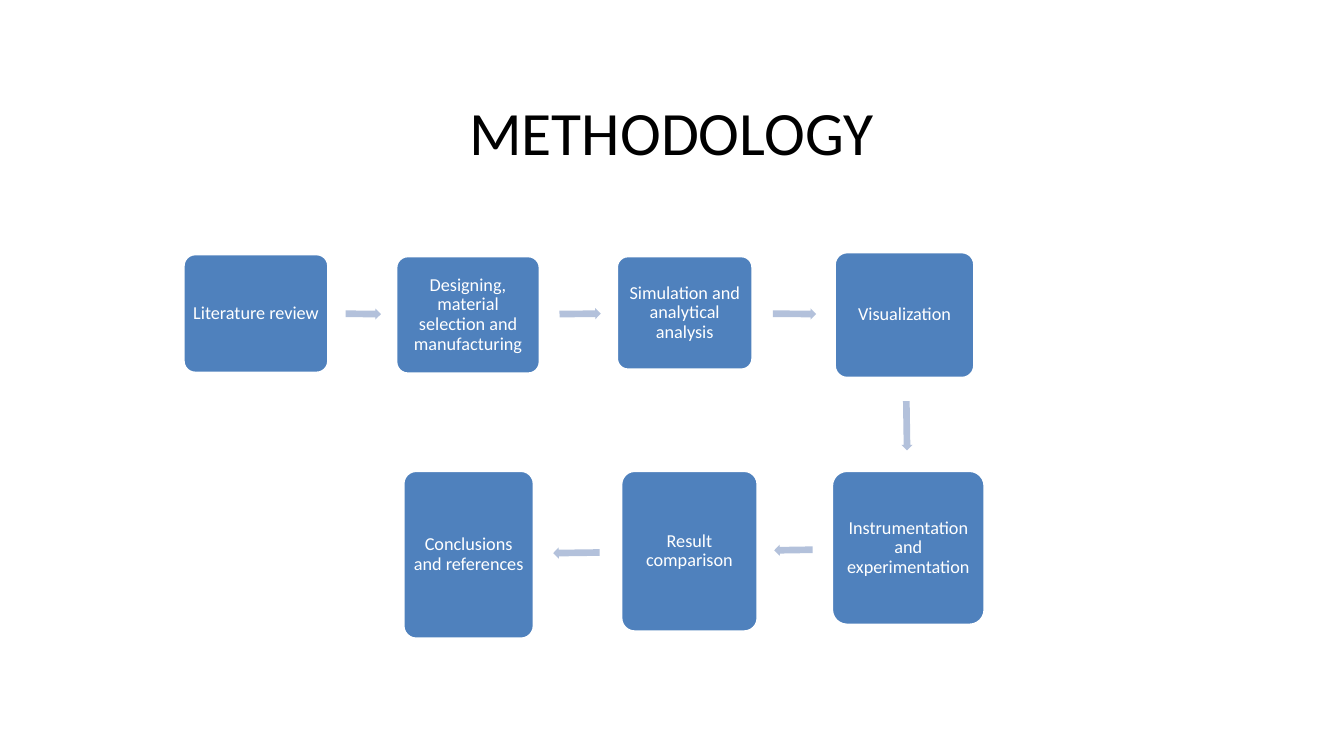
"""Build the methodology slide: seven steps joined by block arrows."""
import pptx
import pptx.util
import pptx.dml.color
import pptx.enum.shapes
import pptx.enum.text

Cm = pptx.util.Cm
Pt = pptx.util.Pt
PRESET = pptx.enum.shapes.MSO_SHAPE


def color(hex_string):
    return pptx.dml.color.RGBColor.from_string(hex_string)


def write(frame, text, size=13, ink="FFFFFF", spacing=0.9, inset=0.12):
    frame.word_wrap = True
    frame.auto_size = pptx.enum.text.MSO_AUTO_SIZE.NONE
    frame.vertical_anchor = pptx.enum.text.MSO_ANCHOR.MIDDLE
    frame.margin_left = frame.margin_right = Cm(inset)
    frame.margin_top = frame.margin_bottom = Cm(inset)
    paragraph = frame.paragraphs[0]
    paragraph.alignment = pptx.enum.text.PP_ALIGN.CENTER
    paragraph.line_spacing = spacing
    run = paragraph.add_run()
    run.text = text
    run.font.name = "Calibri"
    run.font.size = Pt(size)
    run.font.color.rgb = color(ink)


presentation = pptx.Presentation()
presentation.slide_width = Cm(33.87)
presentation.slide_height = Cm(19.05)
slide = presentation.slides.add_slide(presentation.slide_layouts[5])

heading = slide.shapes.title
heading.left, heading.top = Cm(2.95), Cm(1.27)
heading.width, heading.height = Cm(27.94), Cm(4.04)
write(heading.text_frame, "METHODOLOGY", size=44, ink="000000", spacing=1.0)

steps = [
    ("Literature review", 4.62, 6.4, 3.66, 3.0),
    ("Designing, material selection and manufacturing", 9.98, 6.45, 3.63, 2.97),
    ("Simulation and analytical analysis", 15.54, 6.45, 3.43, 2.87),
    ("Visualization", 21.03, 6.35, 3.53, 3.18),
    ("Instrumentation and experimentation", 20.96, 11.86, 3.86, 3.89),
    ("Result comparison", 15.65, 11.86, 3.45, 4.06),
    ("Conclusions and references", 10.16, 11.86, 3.3, 4.24),
]
for label, left, top, width, height in steps:
    step = slide.shapes.add_shape(
        PRESET.ROUNDED_RECTANGLE, Cm(left), Cm(top), Cm(width), Cm(height))
    step.adjustments[0] = 0.1
    step.shadow.inherit = False
    step.fill.solid()
    step.fill.fore_color.rgb = color("4F81BD")
    step.line.color.rgb = color("FFFFFF")
    step.line.width = Pt(2)
    write(step.text_frame, label)

transitions = [
    (8.71, 7.77, 0.89, 0.7),
    (14.1, 7.77, 1.04, 359.4),
    (19.48, 7.77, 1.09, 0.4),
    (22.23, 10.59, 1.24, 89.1),
    (19.51, 13.72, 0.97, 179.1),
    (13.94, 13.79, 1.17, 179.2),
]
for left, top, length, angle in transitions:
    transition = slide.shapes.add_shape(
        PRESET.RIGHT_ARROW, Cm(left), Cm(top), Cm(length), Cm(0.28))
    transition.adjustments[0] = 0.6
    transition.adjustments[1] = 0.5
    transition.rotation = angle
    transition.shadow.inherit = False
    transition.fill.solid()
    transition.fill.fore_color.rgb = color("B3C1DB")
    transition.line.fill.background()

presentation.save("out.pptx")
